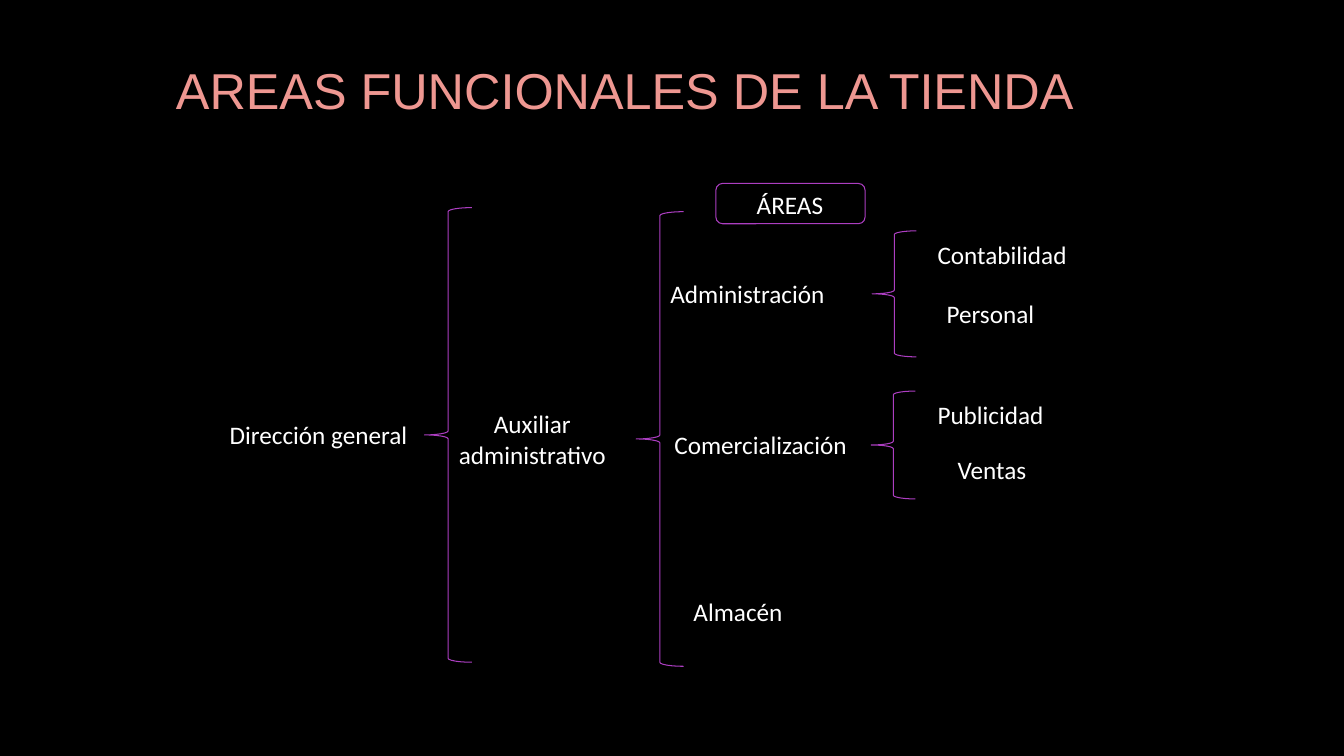
from pptx import Presentation
from pptx import util as u
from pptx.dml.color import RGBColor
from pptx.enum import shapes, text

PX = 9144
WHITE, PURPLE, SALMON, BLACK = "FFFFFF", "AC3EC1", "EE9791", "000000"
LEFT, CENTER = text.PP_ALIGN.LEFT, text.PP_ALIGN.CENTER
BRACE = shapes.MSO_SHAPE.LEFT_BRACE
BOX = shapes.MSO_SHAPE.ROUNDED_RECTANGLE


def color(value):
    return RGBColor.from_string(value)


def add_text(s, wording, box, align=LEFT, size=18, font="Calibri", fill=WHITE):
    tf = s.shapes.add_textbox(*[n * PX for n in box]).text_frame
    tf.word_wrap = True
    tf.vertical_anchor = text.MSO_ANCHOR.MIDDLE
    p = tf.paragraphs[0]
    p.alignment = align
    r = p.add_run()
    r.text = wording
    for name, value in {"size": u.Pt(size), "name": font}.items():
        setattr(r.font, name, value)
    r.font.color.rgb = color(fill)


prs = Presentation()
prs.slide_width, prs.slide_height = 1333 * PX, 750 * PX
s = prs.slides.add_slide(prs.slide_layouts[6])
s.background.fill.solid()
s.background.fill.fore_color.rgb = color(BLACK)

add_text(s, "AREAS FUNCIONALES DE LA TIENDA", (66, 17, 1108, 143),
         CENTER, 36, "Arial", SALMON)

outlines = [
    (BRACE, (421, 206, 47, 451)),
    (BRACE, (631, 210, 47, 451)),
    (BRACE, (865, 229, 44, 125)),
    (BRACE, (864, 388, 44, 107)),
    (BOX, (710, 182, 148, 40)),
]
for kind, box in outlines:
    sp = s.shapes.add_shape(kind, *[n * PX for n in box])
    sp.shadow.inherit = False
    sp.fill.background()
    sp.line.color.rgb = color(PURPLE)
    sp.line.width = u.Pt(0.75)

labels = [
    ("Dirección general", (218, 411, 200, 40), LEFT),
    ("Auxiliar administrativo", (441, 400, 174, 71), CENTER),
    ("ÁREAS", (717, 183, 133, 40), CENTER),
    ("Administración", (655, 271, 181, 40), LEFT),
    ("Comercialización", (659, 421, 199, 40), LEFT),
    ("Almacén", (678, 587, 134, 40), LEFT),
    ("Contabilidad", (920, 232, 149, 40), LEFT),
    ("Personal", (929, 291, 115, 40), LEFT),
    ("Publicidad", (920, 391, 141, 40), LEFT),
    ("Ventas", (940, 446, 104, 40), LEFT),
]
for wording, box, align in labels:
    add_text(s, wording, box, align)

prs.save("out.pptx")
